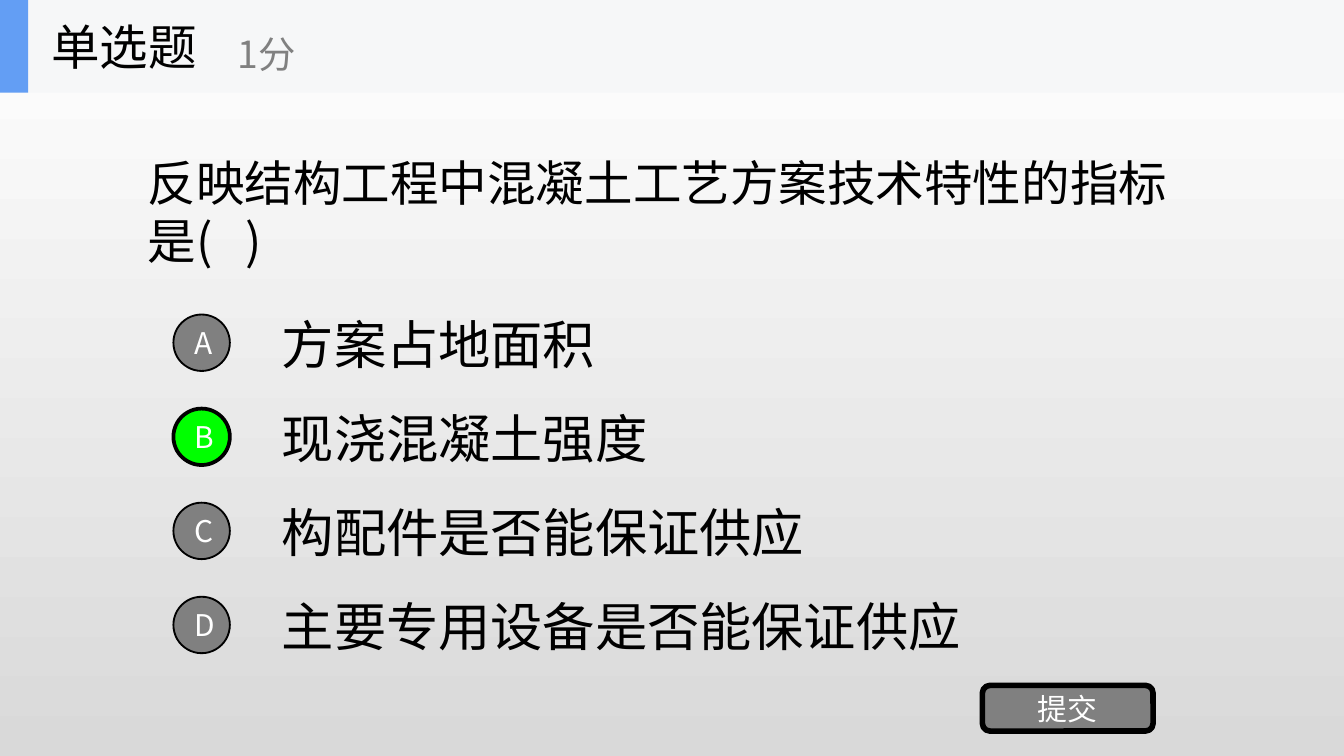
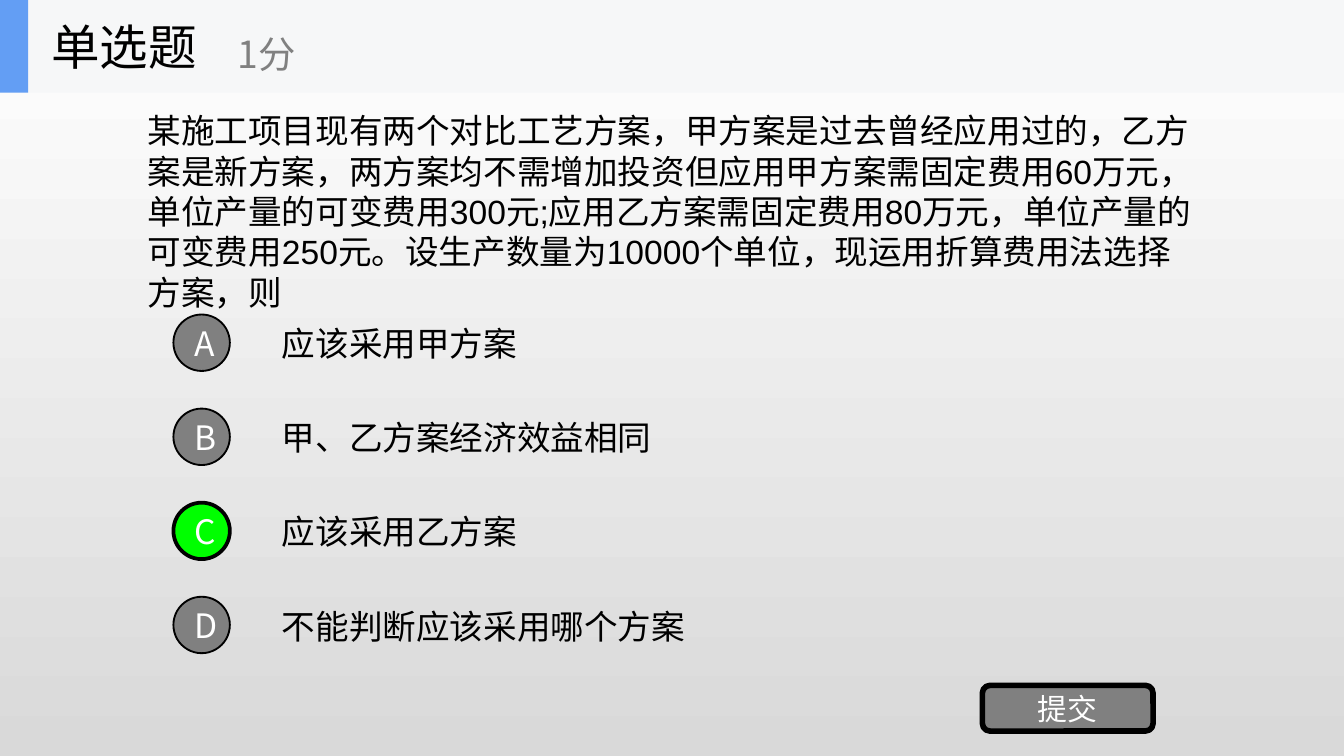
from typing import NamedTuple

from lxml import etree
from pptx import Presentation
from pptx import util as u
from pptx.dml.color import RGBColor
from pptx.enum import shapes, text
from pptx.oxml.ns import qn

HEX = {
    "black": "000000", "white": "FFFFFF", "gray": "808080",
    "right": "00FF00", "band": "F6F7F8", "accent": "639EF4", "fade": "D9D9D9",
}
SANS, ARIAL = "Noto Sans CJK SC", "Arial"
KIND = shapes.MSO_SHAPE
WIDTH = 10
HEIGHT = WIDTH * 9 / 16
STEP = 0.7


class Box(NamedTuple):
    left: float
    top: float
    width: float
    height: float

    def down(self, gap: float) -> "Box":
        return self._replace(top=self.top + gap)

    def emu(self) -> list:
        return [u.Inches(n) for n in self]


class Style(NamedTuple):
    size: int
    face: str = SANS
    color: str = "black"
    center: bool = False
    wrap: bool = True


class Quiz(NamedTuple):
    ask: str
    style: Style
    options: list[str]
    answer: int
    size: int
    mark: int


BAND = Box(0, 0, WIDTH, 0.69)
ACCENT = Box(0, 0, 0.21, 0.69)
TITLE = Box(0.28, 0, 2.08, 0.69)
SCORE = Box(1.67, 0.12, 2.5, 0.56)
ASK = Box(1, 0.69, 8, 1.76)
OPTION = Box(2, 2.29, 7, 0.53)
MARK = Box(1.29, 2.34, 0.42, 0.42)
SUBMIT = Box(7.31, 5.1, 1.27, 0.34)

QUIZZES = [
    Quiz("反映结构工程中混凝土工艺方案技术特性的指标是(   )", Style(26),
         ["方案占地面积", "现浇混凝土强度", "构配件是否能保证供应",
          "主要专用设备是否能保证供应"], answer=1, size=28, mark=16),
    Quiz("某施工项目现有两个对比工艺方案，甲方案是过去曾经应用过的，"
         "乙方案是新方案，两方案均不需增加投资但应用甲方案需固定费用60万元，"
         "单位产量的可变费用300元;应用乙方案需固定费用80万元，"
         "单位产量的可变费用250元。设生产数量为10000个单位，"
         "现运用折算费用法选择方案，则", Style(18, ARIAL),
         ["应该采用甲方案", "甲、乙方案经济效益相同", "应该采用乙方案",
          "不能判断应该采用哪个方案"], answer=2, size=18, mark=18),
]


def rgb(name: str) -> RGBColor:
    return RGBColor.from_string(HEX[name])


def write(shape, words: str, style: Style) -> None:
    frame = shape.text_frame
    frame.text = words
    frame.auto_size = text.MSO_AUTO_SIZE.NONE
    frame.word_wrap = style.wrap
    frame.vertical_anchor = text.MSO_ANCHOR.MIDDLE
    para = frame.paragraphs[0]
    para.alignment = text.PP_ALIGN.CENTER if style.center else text.PP_ALIGN.LEFT
    font = para.font
    font.size, font.name = u.Pt(style.size), style.face
    font.color.rgb = rgb(style.color)
    props = para._p.pPr.find(qn("a:defRPr"))
    etree.SubElement(props, qn("a:ea"), typeface=SANS)


def label(slide, box: Box, words: str, style: Style) -> None:
    write(slide.shapes.add_textbox(*box.emu()), words, style)


def draw(slide, kind, box: Box, fill: str, line: float = 0):
    """Add a flat shape; a line width of 0 means no outline."""
    shape = slide.shapes.add_shape(kind, *box.emu())
    shape.shadow.inherit = False
    shape.fill.solid()
    shape.fill.fore_color.rgb = rgb(fill)
    if line:
        shape.line.color.rgb = rgb("black")
        shape.line.width = u.Pt(line)
    else:
        shape.line.fill.background()
    return shape


def shade(slide) -> None:
    """Fade the background from white at the top to gray."""
    fill = slide.background.fill
    fill.gradient()
    fill.gradient_angle = 270
    for stop, name in zip(fill.gradient_stops, ("white", "fade")):
        stop.color.rgb = rgb(name)


def header(slide) -> None:
    draw(slide, KIND.RECTANGLE, BAND, "band")
    draw(slide, KIND.RECTANGLE, ACCENT, "accent")
    title = slide.shapes.title
    title.left, title.top, title.width, title.height = TITLE.emu()
    write(title, "单选题", Style(26, wrap=False))
    slide.shapes.element.append(title.element)  # keep the title above the band
    label(slide, SCORE, "1分", Style(20, color="gray", wrap=False))


def build(slide, quiz: Quiz) -> None:
    shade(slide)
    label(slide, ASK, quiz.ask, quiz.style)
    for i, words in enumerate(quiz.options):
        label(slide, OPTION.down(i * STEP), words, Style(quiz.size, ARIAL))
    for i, key in enumerate("ABCD"):
        fill, line = ("right", 2) if i == quiz.answer else ("gray", 1)
        mark = draw(slide, KIND.OVAL, MARK.down(i * STEP), fill, line)
        write(mark, key, Style(quiz.mark, color="white", center=True))
    button = draw(slide, KIND.ROUNDED_RECTANGLE, SUBMIT, "gray", 3)
    write(button, "提交", Style(16, color="white", center=True))
    header(slide)


def main() -> None:
    deck = Presentation()
    deck.slide_width, deck.slide_height = u.Inches(WIDTH), u.Inches(HEIGHT)
    for quiz in QUIZZES:
        build(deck.slides.add_slide(deck.slide_layouts[5]), quiz)
    deck.save("out.pptx")


if __name__ == "__main__":
    main()
